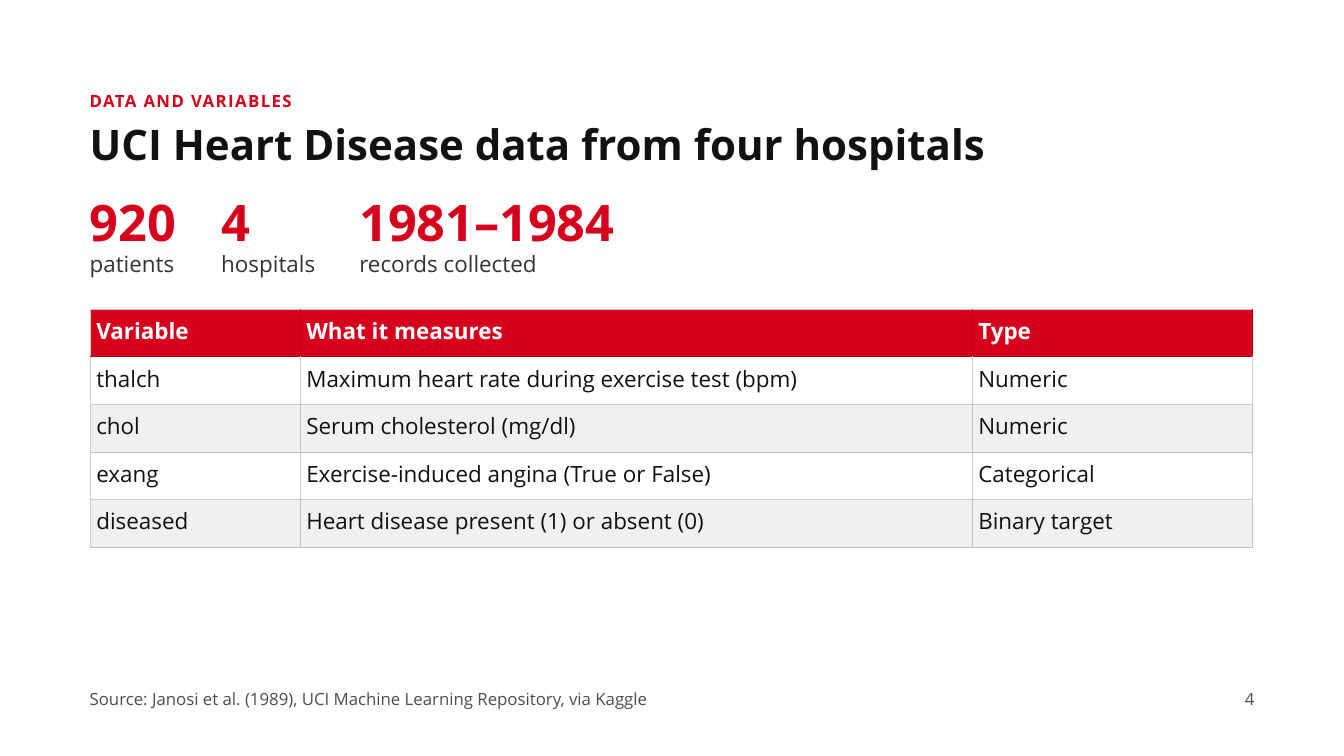
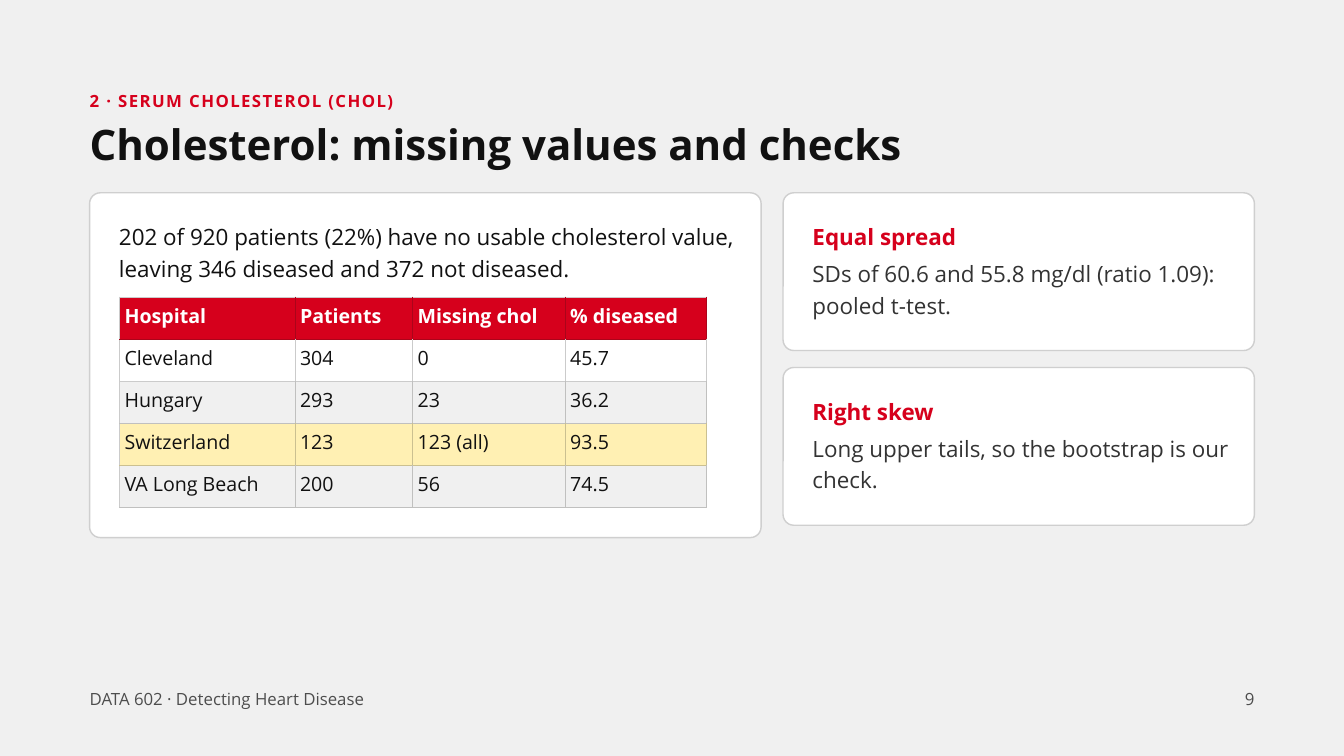
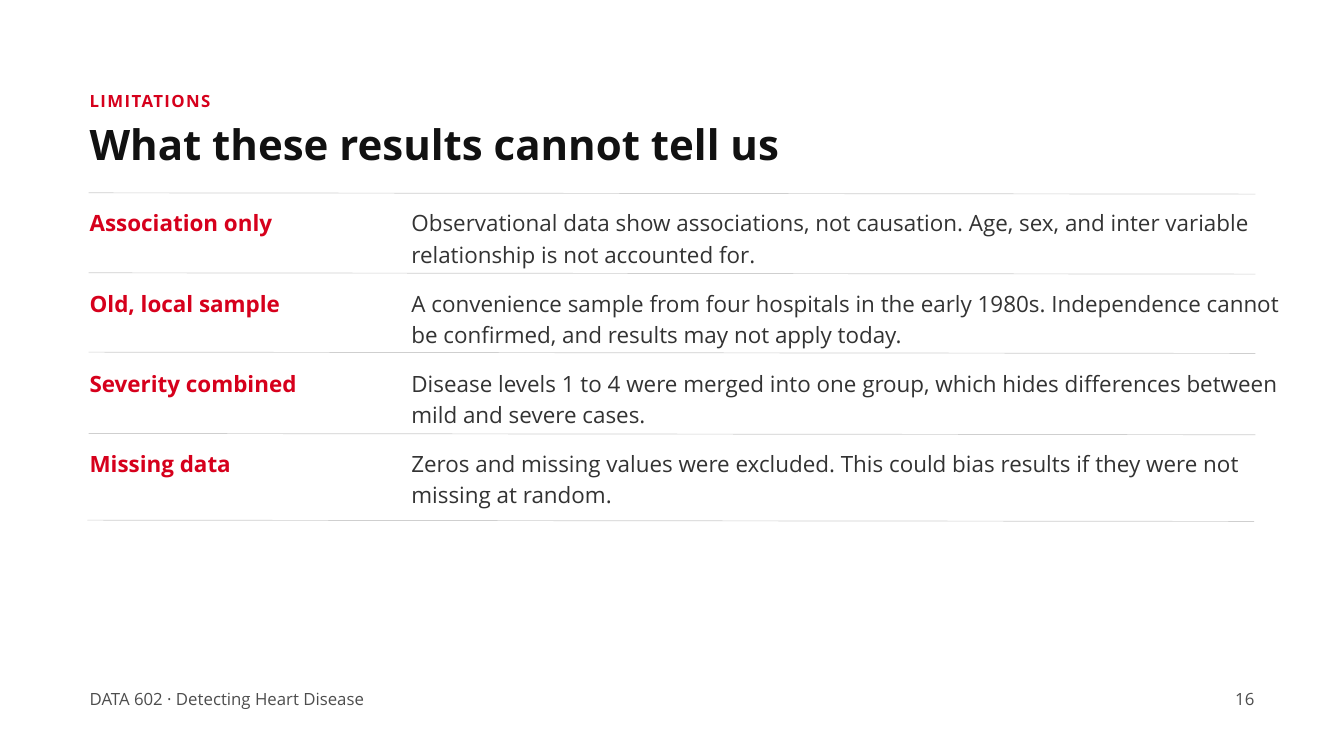
"""Builds three slides of a heart disease talk: data, cholesterol checks and limits."""
from lxml import etree
from pptx import Presentation
from pptx.dml.color import RGBColor
from pptx.enum.shapes import MSO_CONNECTOR, MSO_SHAPE
from pptx.enum.text import MSO_AUTO_SIZE, PP_ALIGN
from pptx.oxml import parse_xml
from pptx.oxml.ns import nsdecls, qn
from pptx.util import Pt

ROUND, LINE = MSO_SHAPE.ROUNDED_RECTANGLE, MSO_CONNECTOR.STRAIGHT
GROW, RIGHT = MSO_AUTO_SIZE.SHAPE_TO_FIT_TEXT, PP_ALIGN.RIGHT
FACE = "Open Sans"
HEX = {
    "red": "D6001C", "ink": "111111", "body": "333333", "note": "4D4D4D",
    "white": "FFFFFF", "grey": "F0F0F0", "gold": "FFF0B3", "rule": "CFCFCF",
}
EDGE = {"red": "AB041A", "white": "CBCBCB", "grey": "C0C0BF", "gold": "CBC090"}
RGB = {name: RGBColor.from_string(code) for name, code in HEX.items()}
STYLE = {
    "kicker": {"size": 18, "bold": True, "color": "red", "lead": 25.2},
    "title": {"size": 45, "bold": True, "color": "ink", "lead": 49.5},
    "figure": {"size": 54, "bold": True, "color": "red", "lead": 59.4},
    "label": {"size": 24, "bold": True, "color": "red", "lead": 33.6},
    "body": {"size": 24, "bold": False, "color": "body", "lead": 33.6},
    "lead": {"size": 24, "bold": False, "color": "ink", "lead": 33.6},
    "foot": {"size": 18, "bold": False, "color": "note", "lead": 25.2},
}
LEFT, TOP = 96, 206.6


def write(frame, words, style):
    """Put one styled paragraph in a text frame and return it."""
    para = frame.paragraphs[0]
    para.line_spacing = Pt(style["lead"])
    run = para.add_run()
    run.text = words
    looks = {"name": FACE, "size": Pt(style["size"]), "bold": style["bold"]}
    for key, value in looks.items():
        setattr(run.font, key, value)
    run.font.color.rgb = RGB[style["color"]]
    if style is STYLE["kicker"]:
        run.font._element.set("spc", "150")
    return para


def label(slide, box, words, kind):
    """Add a text box without insets and return its paragraph."""
    frame = slide.shapes.add_textbox(*map(Pt, box)).text_frame
    for side in ("left", "top", "right", "bottom"):
        setattr(frame, f"margin_{side}", 0)
    frame.word_wrap = True
    frame.auto_size = GROW
    return write(frame, words, STYLE[kind])


deck = Presentation()
deck.slide_width, deck.slide_height = Pt(1440), Pt(810)

COURSE = "DATA 602 · Detecting Heart Disease"
PAGES = [
    ("white", "DATA AND VARIABLES", "UCI Heart Disease data from four hospitals",
     "Source: Janosi et al. (1989), UCI Machine Learning Repository, via Kaggle", 1081, "4"),
    ("grey", "2 · SERUM CHOLESTEROL (CHOL)", "Cholesterol: missing values and checks",
     COURSE, 927, "9"),
    ("white", "LIMITATIONS", "What these results cannot tell us", COURSE, 927, "16"),
]
slides = []
for back, kicker, title, foot, wide, page in PAGES:
    slide = deck.slides.add_slide(deck.slide_layouts[6])
    slide.background.fill.solid()
    slide.background.fill.fore_color.rgb = RGB[back]
    label(slide, (LEFT, 93.6, 1285, 30), kicker, "kicker")
    label(slide, (LEFT, 131, 1285, 49.5), title, "title")
    label(slide, (LEFT, 734.4, wide, 30), foot, "foot")
    label(slide, (1188, 734.4, 156, 30), page, "foot").alignment = RIGHT
    slides.append(slide)
data, checks, limits = slides

FACTS = [
    (96, "920", 111, "patients", 99),
    (237, "4", 107, "hospitals", 121),
    (385, "1981–1984", 329, "records collected", 282),
]
for x, figure, wide, unit, span in FACTS:
    label(data, (x, 210, wide, 58.5), figure, "figure")
    label(data, (x, 262.8, span, 39.6), unit, "body")

CARDS = [(LEFT, TOP, 719.5, 369.4), (839, TOP, 505, 169), (839, TOP + 187.2, 505, 169)]
for box in CARDS:
    card = checks.shapes.add_shape(ROUND, *map(Pt, box))
    card.adjustments[0] = 11.5 / box[3]
    card.shadow.inherit = False
    card.fill.solid()
    card.fill.fore_color.rgb = RGB["white"]
    card.line.color.rgb = RGB["rule"]
    card.line.width = Pt(1.5)

label(checks, (127.5, 234.7, 676, 73.5),
      "202 of 920 patients (22%) have no usable cholesterol value, "
      "leaving 346 diseased and 372 not diseased.", "lead")
NOTES = [
    ("Equal spread", "SDs of 60.6 and 55.8 mg/dl (ratio 1.09): pooled t-test."),
    ("Right skew", "Long upper tails, so the bootstrap is our check."),
]
for (x, y, wide, high), (head, words) in zip(CARDS[1:], NOTES):
    label(checks, (x + 31.5, y + 28.1, 456, 39.6), head, "label")
    label(checks, (x + 31.5, y + 67.7, 456, 73.5), words, "body")

GRIDS = [
    {"slide": data, "at": (97.2, 331.2), "cols": (225, 720, 300), "high": 51,
     "size": 24, "lead": 33.6, "inset": 6,
     "fills": ("red", "white", "grey", "white", "grey"),
     "rows": [
         ("Variable", "What it measures", "Type"),
         ("thalch", "Maximum heart rate during exercise test (bpm)", "Numeric"),
         ("chol", "Serum cholesterol (mg/dl)", "Numeric"),
         ("exang", "Exercise-induced angina (True or False)", "Categorical"),
         ("diseased", "Heart disease present (1) or absent (0)", "Binary target"),
     ]},
    {"slide": checks, "at": (128.2, 318.2), "cols": (188, 126, 163.5, 151), "high": 45,
     "size": 21, "lead": 29.4, "inset": 5.25,
     "fills": ("red", "white", "grey", "gold", "grey"),
     "rows": [
         ("Hospital", "Patients", "Missing chol", "% diseased"),
         ("Cleveland", "304", "0", "45.7"),
         ("Hungary", "293", "23", "36.2"),
         ("Switzerland", "123", "123 (all)", "93.5"),
         ("VA Long Beach", "200", "56", "74.5"),
     ]},
]
for grid in GRIDS:
    rows, cols, fills = grid["rows"], grid["cols"], grid["fills"]
    size = (sum(cols), grid["high"] * len(rows))
    table = grid["slide"].shapes.add_table(
        len(rows), len(cols), *map(Pt, grid["at"] + size)).table
    table.first_row = table.horz_banding = False
    for col, wide in zip(table.columns, cols):
        col.width = Pt(wide)
    for r, (row, fill) in enumerate(zip(rows, fills)):
        table.rows[r].height = Pt(grid["high"])
        own = EDGE[fill]
        above = EDGE[fills[r - 1]] if r else EDGE["white"]
        style = {"size": grid["size"], "lead": grid["lead"], "bold": r == 0,
                 "color": "ink" if r else "white"}
        for c, words in enumerate(row):
            cell = table.cell(r, c)
            for side in ("left", "top", "right", "bottom"):
                setattr(cell, f"margin_{side}", Pt(grid["inset"]))
            write(cell.text_frame, words, style)
            edges = {"L": own if c else EDGE["white"], "R": own, "T": above, "B": own}
            for side, code in edges.items():
                cell._tc.get_or_add_tcPr().append(parse_xml(
                    f'<a:ln{side} {nsdecls("a")} w="12700"><a:solidFill>'
                    f'<a:srgbClr val="{code}"/></a:solidFill></a:ln{side}>'))
            cell.fill.solid()
            cell.fill.fore_color.rgb = RGB[fill]

RULES = [(95, TOP), (95, 292.3), (95, 377.3), (95, 464.4), (93.6, 557.3)]
for x, y in RULES:
    rule = limits.shapes.add_connector(LINE, *map(Pt, (x, y, x + 1250, y + 1.4)))
    rule.line.color.rgb = RGB["rule"]
    rule.line.width = Pt(0.75)
    etree.SubElement(rule._element.spPr, qn("a:effectLst"))

LIMITS = [
    ("Association only",
     "Observational data show associations, not causation. Age, sex, and inter variable "
     "relationship is not accounted for."),
    ("Old, local sample",
     "A convenience sample from four hospitals in the early 1980s. Independence cannot "
     "be confirmed, and results may not apply today."),
    ("Severity combined",
     "Disease levels 1 to 4 were merged into one group, which hides differences between "
     "mild and severe cases."),
    ("Missing data",
     "Zeros and missing values were excluded. This could bias results if they were not "
     "missing at random."),
]
for i, (head, words) in enumerate(LIMITS):
    y = 219.6 + 85.9 * i
    label(limits, (LEFT, y, 325, 73.5), head, "label")
    label(limits, (440.8, y, 930, 73.5), words, "body")

deck.save("out.pptx")
